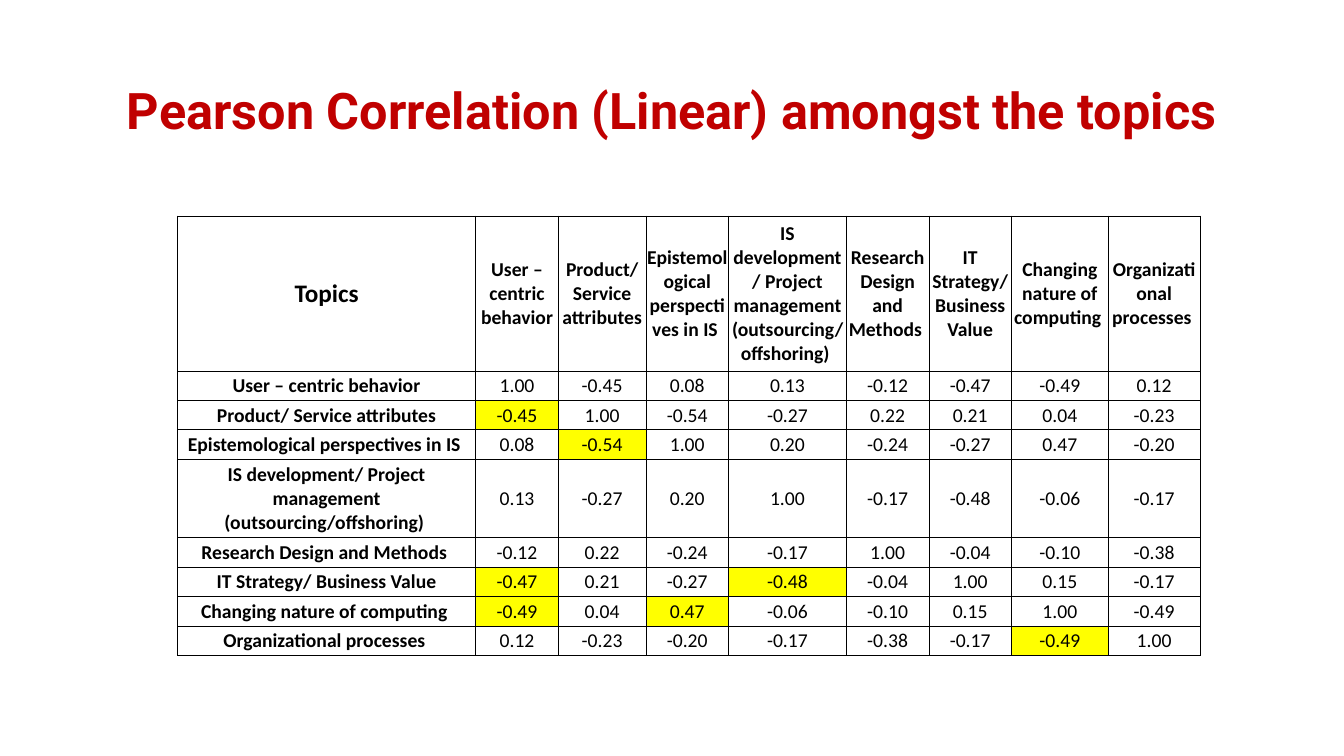
from lxml.etree import SubElement
from pptx import Presentation
from pptx.dml.color import RGBColor
from pptx.enum.text import MSO_ANCHOR, MSO_AUTO_SIZE, PP_ALIGN
from pptx.oxml.ns import qn
from pptx.util import Cm, Pt

BLACK, RED, YELLOW = "000000", "C00000", "FFFF00"
STRONG = 0.45  # correlations of at least this size are highlighted

TOPICS = [
    "User – centric behavior",
    "Product/ Service attributes",
    "Epistemological perspectives in IS ",
    "IS development/ Project management (outsourcing/offshoring) ",
    "Research Design and Methods ",
    "IT Strategy/ Business Value",
    "Changing nature of computing ",
    "Organizational processes ",
]

# The matrix is symmetric, so only its lower triangle is listed
CORRELATIONS = [
    [1.00],
    [-0.45, 1.00],
    [0.08, -0.54, 1.00],
    [0.13, -0.27, 0.20, 1.00],
    [-0.12, 0.22, -0.24, -0.17, 1.00],
    [-0.47, 0.21, -0.27, -0.48, -0.04, 1.00],
    [-0.49, 0.04, 0.47, -0.06, -0.10, 0.15, 1.00],
    [0.12, -0.23, -0.20, -0.17, -0.38, -0.17, -0.49, 1.00],
]

COLUMN_WIDTHS = [7.52, 2.08, 2.21, 2.08, 2.97, 2.08, 2.08, 2.44, 2.31]
ROW_HEIGHTS = [3.91, 0.74, 0.74, 0.74, 1.98, 0.74, 0.74, 0.74, 0.74]


def rgb(color):
    return RGBColor.from_string(color)


def write(frame, text, size=14, font="Calibri", color=BLACK, bold=False, spacing=1.0):
    paragraph = frame.paragraphs[0]
    paragraph.alignment = PP_ALIGN.CENTER
    paragraph.line_spacing = spacing
    run = paragraph.add_run()
    run.text = text
    run.font.size = Pt(size)
    run.font.name = font
    run.font.bold = bold
    run.font.color.rgb = rgb(color)


def add_borders(cell, color=BLACK, width=0.5):
    properties = cell._tc.get_or_add_tcPr()
    for position, side in enumerate(("a:lnL", "a:lnR", "a:lnT", "a:lnB")):
        border = properties.makeelement(qn(side), {"w": str(Pt(width))})
        fill = SubElement(border, qn("a:solidFill"))
        SubElement(fill, qn("a:srgbClr"), val=color)
        properties.insert(position, border)  # borders precede the fill


def fill_cell(cell, text, highlight=None, **text_format):
    cell.margin_left = cell.margin_right = cell.margin_top = Cm(0.02)
    cell.margin_bottom = 0
    cell.vertical_anchor = MSO_ANCHOR.MIDDLE
    if highlight:
        cell.fill.solid()
        cell.fill.fore_color.rgb = rgb(highlight)
    else:
        cell.fill.background()
    add_borders(cell)
    write(cell.text_frame, text, **text_format)


def add_title(slide, text):
    title = slide.shapes.title
    title.left, title.top = Cm(2.33), Cm(1.01)
    title.width, title.height = Cm(29.21), Cm(3.68)
    frame = title.text_frame
    frame.auto_size = MSO_AUTO_SIZE.NONE
    frame.vertical_anchor = MSO_ANCHOR.MIDDLE
    write(frame, text, size=36, font="Roboto", color=RED, bold=True, spacing=0.9)


def add_correlation_table(slide):
    table = slide.shapes.add_table(
        len(ROW_HEIGHTS), len(COLUMN_WIDTHS), Cm(4.47), Cm(5.44),
        Cm(sum(COLUMN_WIDTHS)), Cm(sum(ROW_HEIGHTS))).table
    table.first_row = table.horz_banding = False
    for column, width in zip(table.columns, COLUMN_WIDTHS):
        column.width = Cm(width)
    for row, height in zip(table.rows, ROW_HEIGHTS):
        row.height = Cm(height)

    # Topic names along the top and down the side
    fill_cell(table.cell(0, 0), "Topics", size=18, bold=True)
    for i, topic in enumerate(TOPICS, start=1):
        fill_cell(table.cell(0, i), topic, bold=True)
        fill_cell(table.cell(i, 0), topic, bold=True)

    # Values, with strong correlations marked below the diagonal
    for i in range(len(TOPICS)):
        for j in range(len(TOPICS)):
            value = CORRELATIONS[max(i, j)][min(i, j)]
            is_strong = j < i and abs(value) >= STRONG
            fill_cell(table.cell(i + 1, j + 1), f"{value:.2f}",
                      highlight=YELLOW if is_strong else None)


def main():
    presentation = Presentation()
    presentation.slide_width, presentation.slide_height = Cm(33.87), Cm(19.05)
    slide = presentation.slides.add_slide(presentation.slide_layouts[5])
    add_title(slide, "Pearson Correlation (Linear) amongst the topics")
    add_correlation_table(slide)
    presentation.save("out.pptx")


if __name__ == "__main__":
    main()
